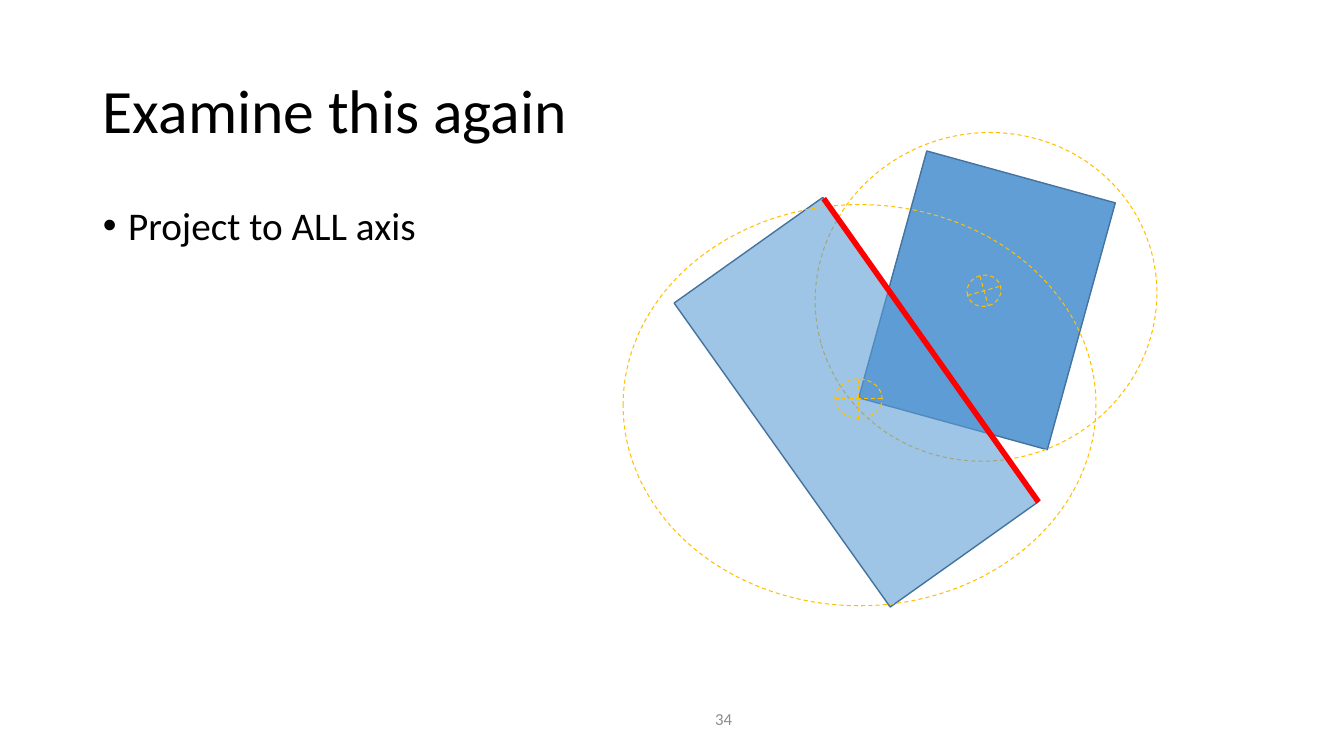
from lxml import etree
from pptx import Presentation
from pptx.dml.color import RGBColor
from pptx.enum.dml import MSO_LINE
from pptx.enum.shapes import MSO_CONNECTOR, MSO_SHAPE
from pptx.enum.text import MSO_ANCHOR, PP_ALIGN
from pptx.oxml.ns import qn
from pptx.util import Inches, Pt

RECTANGLE, ELLIPSE = MSO_SHAPE.RECTANGLE, MSO_SHAPE.OVAL
CROSS_CIRCLE = MSO_SHAPE.FLOWCHART_OR
DASH = MSO_LINE.DASH
LEFT, RIGHT = PP_ALIGN.LEFT, PP_ALIGN.RIGHT
TOP, MIDDLE = MSO_ANCHOR.TOP, MSO_ANCHOR.MIDDLE

BLACK = RGBColor(0x00, 0x00, 0x00)
GREY = RGBColor(0x8C, 0x8C, 0x8C)
BLUE = RGBColor(0x5B, 0x9B, 0xD5)
DARK_BLUE = RGBColor(0x43, 0x73, 0x9E)
GOLD = RGBColor(0xFF, 0xC0, 0x00)
RED = RGBColor(0xFF, 0x00, 0x00)
FONT = "Calibri"

# Content: lengths in inches, angles in degrees, opacity in percent
TITLE = "Examine this again"
BULLET = "Project to ALL axis"
PAGE_NUMBER = "34"
BODIES = [
    {"angle": 15.4, "opacity": 96, "box": (8.82, 1.71, 1.94, 2.54),
     "bounds": (8.08, 1.32, 3.4, 3.25), "centre": (9.59, 2.73, 0.34, 0.31),
     "bounds_angle": 344.4},
    {"angle": 324.6, "opacity": 59, "box": (7.59, 2.14, 1.81, 3.7),
     "bounds": (6.18, 2.03, 4.69, 3.98), "centre": (8.28, 3.76, 0.47, 0.39),
     "bounds_angle": 0},
]
AXIS = (8.17, 1.97, 10.3, 4.98)


def inches(values):
    return [Inches(value) for value in values]


def place(shape, area):
    shape.left, shape.top, shape.width, shape.height = inches(area)


def write(shape, text, size, color, align, anchor):
    frame = shape.text_frame
    frame.text = text
    frame.word_wrap = True
    frame.vertical_anchor = anchor
    para = frame.paragraphs[0]
    para.alignment = align
    para.space_before = Pt(0)
    font = para.runs[0].font
    font.name, font.size, font.color.rgb = FONT, Pt(size), color
    return para


def add_outline(page, kind, area, angle, color, width):
    shape = page.shapes.add_shape(kind, *inches(area))
    shape.shadow.inherit = False
    shape.rotation = angle
    shape.fill.background()
    shape.line.color.rgb = color
    shape.line.width = Pt(width)
    return shape


def fill_translucent(shape, color, opacity):
    shape.fill.solid()
    shape.fill.fore_color.rgb = color
    tint = shape.fill._xPr.find(qn("a:solidFill"))[0]
    etree.SubElement(tint, qn("a:alpha")).set("val", str(opacity * 1000))


deck = Presentation()
deck.slide_width, deck.slide_height = Inches(13.33), Inches(7.5)
page = deck.slides.add_slide(deck.slide_layouts[1])

# Title
title = page.shapes.title
place(title, (0.92, 0.4, 11.5, 1.45))
write(title, TITLE, 44, BLACK, LEFT, MIDDLE).line_spacing = 0.9

# Bullet list
body = page.placeholders[1]
place(body, (0.92, 2, 11.5, 4.76))
para = write(body, BULLET, 28, BLACK, LEFT, TOP)
para.line_spacing = 0.9
properties = para._p.get_or_add_pPr()
properties.set("marL", str(Inches(0.25)))
properties.set("indent", str(-Inches(0.25)))
etree.SubElement(properties, qn("a:buFont")).set("typeface", "Arial")
etree.SubElement(properties, qn("a:buChar")).set("char", "•")

# Page number
number = page.shapes.add_textbox(*inches((6.17, 6.93, 1.19, 0.4)))
write(number, PAGE_NUMBER, 12, GREY, RIGHT, MIDDLE)

# Rotated boxes with their bounding ellipses and centre marks
for item in BODIES:
    box = add_outline(page, RECTANGLE, item["box"], item["angle"], DARK_BLUE, 1)
    fill_translucent(box, BLUE, item["opacity"])
    for kind, part in ((ELLIPSE, "bounds"), (CROSS_CIRCLE, "centre")):
        ring = add_outline(page, kind, item[part], item["bounds_angle"], GOLD, 0.75)
        ring.line.dash_style = DASH

# Separating axis
axis = page.shapes.add_connector(MSO_CONNECTOR.STRAIGHT, *inches(AXIS))
axis.line.color.rgb = RED
axis.line.width = Pt(4)
etree.SubElement(axis._element.spPr, qn("a:effectLst"))

deck.save("out.pptx")
